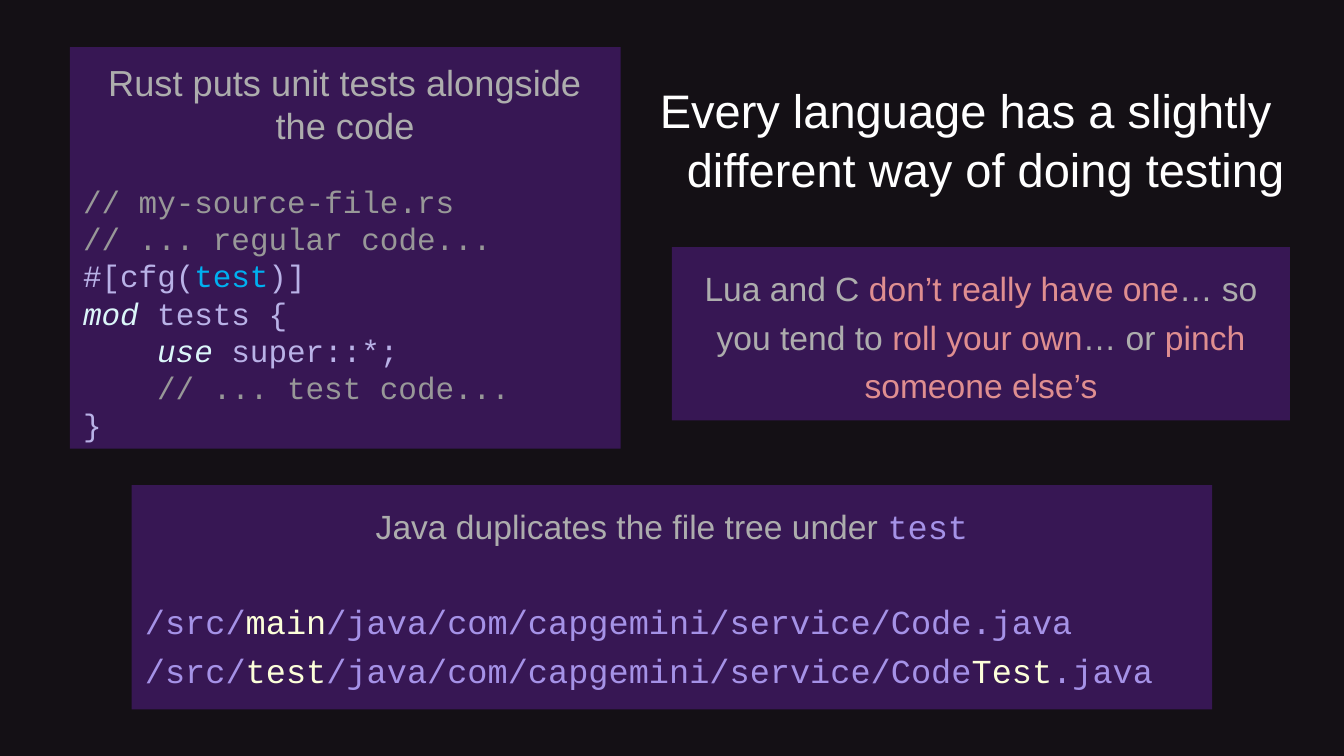
from pptx import Presentation
from pptx.dml.color import RGBColor
from pptx.enum.shapes import MSO_SHAPE
from pptx.enum.text import MSO_ANCHOR, MSO_AUTO_SIZE, PP_ALIGN
from pptx.util import Cm, Pt

COLORS = {
    "background": "141015", "panel": "371754", "title": "FFFFFF",
    "body": "ADADAD", "comment": "989898", "code": "B9B2E7",
    "keyword": "DBF6F9", "attribute": "00B0F0", "file": "A592E7",
    "highlight": "FCFFD9", "accent": "DF8E90",
}
SANS, MONO = "Arial", "Courier New"
INSET = Cm(0.25)

RUST_CODE = [
    [("// my-source-file.rs", "comment")],
    [("// ... regular code...", "comment")],
    [("#[cfg(", "code"), ("test", "attribute"), (")]", "code")],
    [("mod", "keyword"), (" tests {", "code")],
    [("    ", "code"), ("use", "keyword"), (" super::*;", "code")],
    [("    ", "code"), ("// ... test code...", "comment")],
    [("}", "code")],
]
JAVA_PATHS = [
    [("/src/", "file"), ("main", "highlight"),
     ("/java/com/capgemini/service/Code.java", "file")],
    [("/src/", "file"), ("test", "highlight"),
     ("/java/com/capgemini/service/Code", "file"),
     ("Test", "highlight"), (".java", "file")],
]
LUA_AND_C = [
    ("Lua and C ", "body"), ("don’t really have one", "accent"),
    ("… so you tend to ", "body"), ("roll your own", "accent"),
    ("… or ", "body"), ("pinch someone else’s", "accent"),
]


def rgb(name):
    return RGBColor.from_string(COLORS[name])


def set_up_frame(frame):
    frame.word_wrap = True
    frame.auto_size = MSO_AUTO_SIZE.NONE
    frame.vertical_anchor = MSO_ANCHOR.TOP
    frame.margin_left = frame.margin_right = INSET
    frame.margin_top = frame.margin_bottom = INSET


def write(paragraph, parts, size, font=SANS, align=PP_ALIGN.LEFT,
          spacing=1.0, before=0):
    """Fill a paragraph with (text, colour name) parts."""
    paragraph.alignment = align
    paragraph.line_spacing = spacing
    paragraph.space_before = Pt(before)
    paragraph.space_after = Pt(0)
    paragraph.font.size = Pt(size)
    paragraph.font.name = font
    for text, color in parts:
        run = paragraph.add_run()
        run.text = text
        run.font.color.rgb = rgb(color)
        if color == "keyword":
            run.font.italic = True


def add_panel(slide, box):
    """Draw a purple panel and return its text frame."""
    panel = slide.shapes.add_shape(MSO_SHAPE.RECTANGLE, *box)
    panel.shadow.inherit = False
    panel.fill.solid()
    panel.fill.fore_color.rgb = rgb("panel")
    panel.line.fill.background()
    set_up_frame(panel.text_frame)
    return panel.text_frame


def add_lines(frame, lines, size, spacing, gap):
    """Append monospaced lines, set apart from the heading by a gap."""
    for index, parts in enumerate(lines):
        write(frame.add_paragraph(), parts, size, MONO, spacing=spacing,
              before=0 if index else gap)


def place_title(slide, box):
    title = slide.shapes.title
    title.left, title.top, title.width, title.height = box
    set_up_frame(title.text_frame)
    heading = title.text_frame.paragraphs[0]
    write(heading, [("Every language has a slightly ", "title")], 25.2,
          align=PP_ALIGN.RIGHT, spacing=1.05)
    heading.add_line_break()
    second_line = heading.add_run()
    second_line.text = "different way of doing testing"
    second_line.font.color.rgb = rgb("title")


def add_rust_panel(slide, box):
    frame = add_panel(slide, box)
    write(frame.paragraphs[0],
          [("Rust puts unit tests alongside the code", "body")],
          19.4, align=PP_ALIGN.CENTER)
    add_lines(frame, RUST_CODE, 16.6, spacing=1.0, gap=19)


def add_java_panel(slide, box):
    frame = add_panel(slide, box)
    heading = frame.paragraphs[0]
    write(heading, [("Java duplicates the file tree under ", "body"),
                    ("test", "file")],
          18, align=PP_ALIGN.CENTER, spacing=1.2)
    heading.runs[-1].font.name = MONO
    add_lines(frame, JAVA_PATHS, 18, spacing=1.2, gap=25)


def add_lua_panel(slide, box):
    frame = add_panel(slide, box)
    write(frame.paragraphs[0], LUA_AND_C, 18, align=PP_ALIGN.CENTER,
          spacing=1.2)


def main():
    deck = Presentation()
    deck.slide_width, deck.slide_height = Cm(25.4), Cm(14.29)
    slide = deck.slides.add_slide(deck.slide_layouts[5])
    slide.background.fill.solid()
    slide.background.fill.fore_color.rgb = rgb("background")

    place_title(slide, (Cm(0.86), Cm(1.24), Cm(23.67), Cm(1.6)))
    add_rust_panel(slide, (Cm(1.32), Cm(0.89), Cm(10.41), Cm(7.59)))
    add_java_panel(slide, (Cm(2.49), Cm(9.17), Cm(20.42), Cm(4.24)))
    add_lua_panel(slide, (Cm(12.7), Cm(4.67), Cm(11.68), Cm(3.28)))
    deck.save("out.pptx")


if __name__ == "__main__":
    main()
